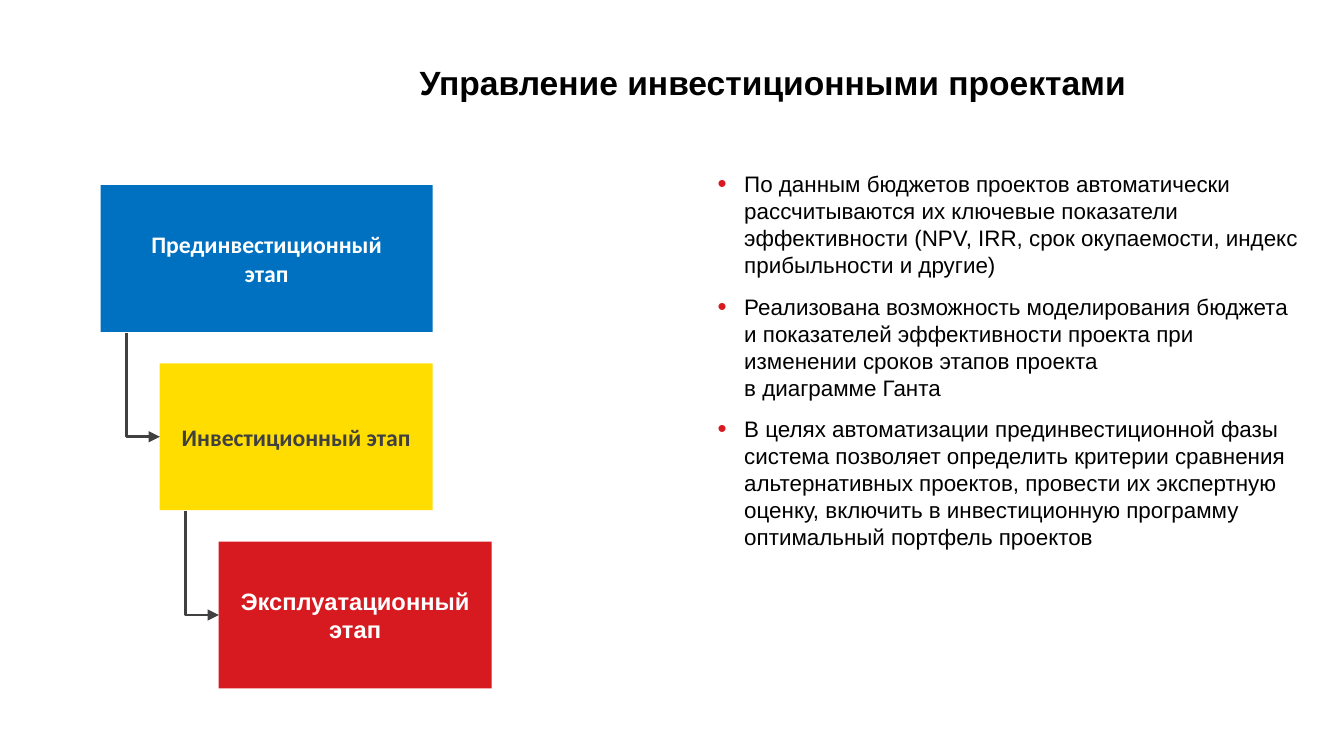
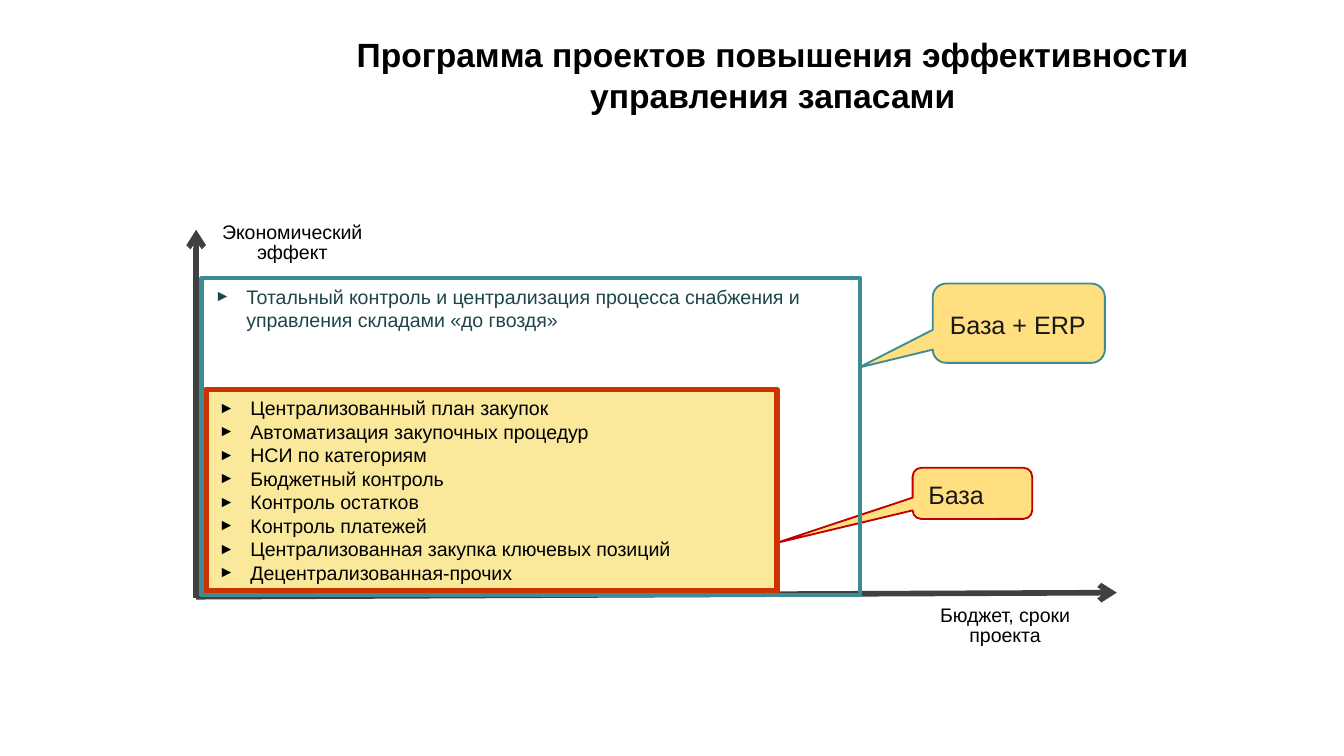
from copy import deepcopy

from lxml.etree import SubElement
from pptx import Presentation
from pptx.dml.color import RGBColor
from pptx.enum.shapes import MSO_CONNECTOR, MSO_SHAPE
from pptx.enum.text import MSO_ANCHOR, MSO_AUTO_SIZE, PP_ALIGN
from pptx.oxml.ns import qn
from pptx.util import Pt

BLACK, WHITE, DARK = "000000", "FFFFFF", "404040"
BLUE, YELLOW, RED, TEAL = "0070C0", "FFDD00", "D71920", "3C8C93"
CENTER, LEFT = PP_ALIGN.CENTER, PP_ALIGN.LEFT


def rgb(value):
    return RGBColor.from_string(value)


def add_xml(parent, tag, **attrs):
    return SubElement(parent, qn(tag), attrs)


class Deck:
    font = "Arial"

    def __init__(self):
        self.prs = Presentation()
        self.prs.slide_width, self.prs.slide_height = Pt(720), Pt(405)
        self.s = None

    def slide(self, layout, title, left, top, width, height):
        self.s = self.prs.slides.add_slide(self.prs.slide_layouts[layout])
        sp = self.place(self.s.shapes.title, left, top, width, height)
        self.text(sp, [title], 18, bold=True, align=CENTER)

    def place(self, sp, left, top, width, height):
        sp.left, sp.top = Pt(left), Pt(top)
        sp.width, sp.height = Pt(width), Pt(height)
        return sp

    def text(self, sp, lines, size, color=BLACK, bold=False, font=None, align=LEFT,
             anchor=MSO_ANCHOR.MIDDLE, inset=(7.2, 3.6, 7.2, 3.6), spacing=None,
             gap=0, bullet=None):
        tf = sp.text_frame
        tf.word_wrap, tf.auto_size = True, MSO_AUTO_SIZE.NONE
        tf.vertical_anchor = anchor
        (tf.margin_left, tf.margin_top,
         tf.margin_right, tf.margin_bottom) = [Pt(v) for v in inset]
        for i, line in enumerate(lines):
            p = tf.paragraphs[0] if i == 0 else tf.add_paragraph()
            if bullet:
                self.bullet(p, **bullet)
            p.alignment = align
            p.space_before, p.space_after = Pt(gap if i else 0), Pt(gap)
            if spacing:
                p.line_spacing = spacing
            for j, part in enumerate(line.split("\n")):
                if j:
                    p.add_line_break()
                    p._p[-1].append(deepcopy(r._r.rPr))
                r = p.add_run()
                r.text = part
                r.font.name, r.font.size = font or self.font, Pt(size)
                r.font.bold, r.font.color.rgb = bold, rgb(color)

    def bullet(self, p, char, percent, indent, color=None, tab=None):
        pPr = p._p.get_or_add_pPr()
        pPr.set("marL", str(Pt(indent)))
        pPr.set("indent", str(-Pt(indent)))
        if color:
            add_xml(add_xml(pPr, "a:buClr"), "a:srgbClr", val=color)
        add_xml(pPr, "a:buSzPct", val=str(percent * 1000))
        add_xml(pPr, "a:buFont", typeface=self.font)
        add_xml(pPr, "a:buChar", char=char)
        if tab:
            add_xml(add_xml(pPr, "a:tabLst"), "a:tab", pos=str(Pt(tab)), algn="l")

    def shape(self, kind, box, fill=None, alpha=None, line=None, weight=1):
        sp = self.s.shapes.add_shape(kind, *[Pt(v) for v in box])
        sp.shadow.inherit = False
        if fill:
            sp.fill.solid()
            sp.fill.fore_color.rgb = rgb(fill)
            if alpha:
                clr = sp._element.spPr.find(qn("a:solidFill"))[0]
                add_xml(clr, "a:alpha", val=str(alpha * 1000))
        else:
            sp.fill.background()
        if line:
            sp.line.color.rgb, sp.line.width = rgb(line), Pt(weight)
        else:
            sp.line.fill.background()
        return sp

    def callout(self, box, label, line, tip):
        sp = self.shape(MSO_SHAPE.ROUNDED_RECTANGULAR_CALLOUT, box, "FFC000", 50, line)
        for i, value in enumerate((*tip, 0.17)):
            sp.adjustments[i] = value
        self.text(sp, [label], 13.5, "191919", spacing=1.1)

    def label(self, box, lines):
        sp = self.s.shapes.add_textbox(*[Pt(v) for v in box])
        self.text(sp, lines, 10.5, align=CENTER, anchor=MSO_ANCHOR.TOP,
                  inset=(0, 2.2, 0, 0), spacing=0.85)

    def arrow(self, x1, y1, x2, y2, weight, head, kind=MSO_CONNECTOR.STRAIGHT):
        con = self.s.shapes.add_connector(kind, Pt(x1), Pt(y1), Pt(x2), Pt(y2))
        con.line.color.rgb, con.line.width = rgb(DARK), Pt(weight)
        spPr = con._element.spPr
        add_xml(spPr.find(qn("a:ln")), "a:tailEnd", type=head)
        add_xml(spPr, "a:effectLst")
        return spPr

    def corner_arrow(self, x1, y1, x2, y2):
        # Down, then right: a one-bend connector turned by 270 degrees and mirrored
        cx, cy = (x1 + x2) / 2, (y1 + y2) / 2
        dx, dy = (y2 - y1) / 2, (x2 - x1) / 2
        spPr = self.arrow(cx - dx, cy - dy, cx + dx, cy + dy, 1.5, "triangle",
                          MSO_CONNECTOR.ELBOW)
        spPr.find(qn("a:prstGeom")).set("prst", "bentConnector2")
        xfrm = spPr.find(qn("a:xfrm"))
        xfrm.set("rot", str(270 * 60000))
        xfrm.set("flipH", "1")


def investment_slide(d):
    d.slide(1, "Управление инвестиционными проектами", 130.3, 15.1, 567.4, 57.6)

    # Features
    body = d.place(d.s.placeholders[1], 377.3, 87.8, 328.3, 212.4)
    d.text(body, [
        "По данным бюджетов проектов автоматически рассчитываются их ключевые "
        "показатели эффективности (NPV, IRR, срок окупаемости, индекс "
        "прибыльности и другие)",
        "Реализована возможность моделирования бюджета и показателей "
        "эффективности проекта при изменении сроков этапов проекта \n"
        "в диаграмме Ганта",
        "В целях автоматизации прединвестиционной фазы система позволяет "
        "определить критерии сравнения альтернативных проектов, провести "
        "их экспертную оценку, включить в инвестиционную программу "
        "оптимальный портфель проектов",
    ], 12, anchor=MSO_ANCHOR.TOP, gap=4,
        bullet=dict(char="•", percent=115, indent=14.2, color=RED, tab=18.7))

    # Staircase of stages
    stages = [
        ("Прединвестиционный\nэтап", 177.8, BLUE, WHITE, "Calibri"),
        ("Инвестиционный этап", 146.2, YELLOW, DARK, "Calibri"),
        ("Эксплуатационный этап", 146.2, RED, WHITE, "Arial"),
    ]
    left, top, height, step_x, step_y = 54, 99.2, 78.6, 31.6, 95.5
    for i, (name, width, fill, color, font) in enumerate(stages):
        x, y = left + i * step_x, top + i * step_y
        sp = d.shape(MSO_SHAPE.RECTANGLE, (x, y, width, height), fill)
        d.text(sp, [name], 12.7, color, True, font, CENTER, inset=(7.2, 5.8, 7.2, 5.8))
        if i:
            d.corner_arrow(x - step_x + 13.6, y - step_y + height + 0.5,
                           x, y + height / 2)


def stock_slide(d):
    d.slide(5, "Программа проектов повышения эффективности управления запасами",
            133.2, 15.1, 561.6, 49.7)
    d.callout((488.9, 250.6, 64.1, 27.4), "База", "C00000", (-1.64, 0.97))

    # Axes
    d.arrow(105.1, 320.4, 105.1, 123.1, 3, "arrow")
    d.arrow(105.1, 319.7, 598.3, 317.5, 3, "arrow")
    d.label((498.2, 322.6, 80.6, 23.8), ["Бюджет, сроки", "проекта"])
    d.label((115.2, 117.4, 82.8, 23.8), ["Экономический эффект"])

    # Scope of each project
    marks = dict(char="►", percent=80, indent=16.9)
    basic = d.shape(MSO_SHAPE.RECTANGLE, (110.2, 208.8, 306, 108),
                    "F9E383", 80, "CC3300", 3)
    d.text(basic, [
        "Централизованный план закупок",
        "Автоматизация закупочных процедур",
        "НСИ по категориям",
        "Бюджетный контроль",
        "Контроль остатков",
        "Контроль платежей",
        "Централизованная закупка ключевых позиций",
        "Децентрализованная-прочих",
    ], 10.5, anchor=MSO_ANCHOR.TOP, bullet=marks)
    total = d.shape(MSO_SHAPE.RECTANGLE, (108, 149, 352.8, 169.9), line=TEAL, weight=2.25)
    d.text(total, ["Тотальный контроль и централизация процесса снабжения и "
                   "управления складами «до гвоздя»"],
           10.5, "1E4649", anchor=MSO_ANCHOR.TOP, bullet=marks)
    d.callout((499.7, 151.9, 92.2, 42.5), "База + ERP", TEAL, (-0.93, 0.56))


def main():
    d = Deck()
    investment_slide(d)
    stock_slide(d)
    d.prs.save("out.pptx")


if __name__ == "__main__":
    main()
